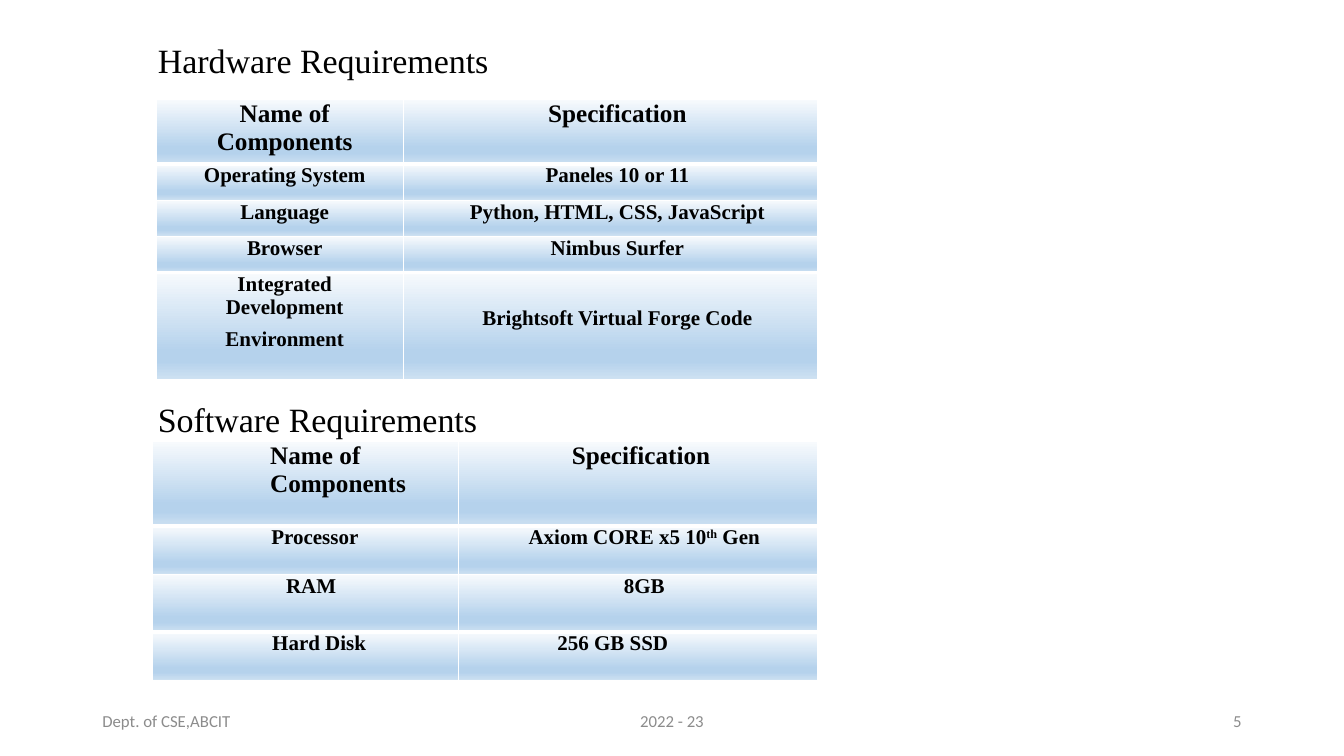
from lxml import etree
from pptx import Presentation
from pptx.dml.color import RGBColor
from pptx.enum.text import MSO_ANCHOR, PP_ALIGN
from pptx.oxml.ns import qn
from pptx.util import Cm, Pt

LEFT, CENTER, RIGHT = PP_ALIGN.LEFT, PP_ALIGN.CENTER, PP_ALIGN.RIGHT
MIDDLE = MSO_ANCHOR.MIDDLE

COLORS = {"text": "000000", "footer": "8C8C8C", "border": "FFFFFF"}
CELL_GRADIENT = {0: "F7FAFD", 74: "B5D2EC", 83: "B5D2EC", 100: "CEE1F2"}
SERIF, SANS = "Times New Roman", "Calibri"

# Each cell: text (^ encloses a superscript), alignment, left and right indent in cm.
NAME = (CENTER, 1.04, 0.79)
VALUE = (CENTER, 0.36, 0)
HARDWARE_ROWS = [
    [("Name of Components", *NAME), ("Specification", *VALUE)],
    [("Operating System", *NAME), ("Paneles 10 or 11", *VALUE)],
    [("Language", *NAME), ("Python, HTML, CSS, JavaScript", *VALUE)],
    [("Browser", *NAME), ("Nimbus Surfer", *VALUE)],
    [("Integrated Development\nEnvironment", *NAME), ("Brightsoft Virtual Forge Code", *VALUE)],
]
SOFTWARE_ROWS = [
    [("Name of Components", LEFT, 2.97, 0), ("Specification", CENTER, 1.55, 1.4)],
    [("Processor", LEFT, 3, 0), ("Axiom CORE x5 10^th^ Gen", CENTER, 1.68, 1.37)],
    [("RAM", CENTER, 3.35, 3.07), ("8GB", CENTER, 1.68, 1.37)],
    [("Hard Disk", LEFT, 3.02, 0), ("256 GB SSD", CENTER, 0, 1.27)],
]


def style_font(font, name, size, color, bold=False):
    font.name, font.size, font.bold = name, Pt(size), bold
    font.color.rgb = RGBColor.from_string(COLORS[color])


def add_text(slide, box, text, name, size, color, alignment=LEFT, inset=0):
    shape = slide.shapes.add_textbox(*(Cm(length) for length in box))
    frame = shape.text_frame
    frame.word_wrap = True
    frame.vertical_anchor = MIDDLE
    frame.margin_left = frame.margin_right = Cm(inset)
    frame.margin_top = frame.margin_bottom = 0
    frame.text = text
    paragraph = frame.paragraphs[0]
    paragraph.alignment = alignment
    style_font(paragraph.runs[0].font, name, size, color)


def add_solid_fill(parent, color):
    fill = etree.SubElement(parent, qn("a:solidFill"))
    etree.SubElement(fill, qn("a:srgbClr"), val=color)


def paint_cell(cell, top_width, bottom_width):
    """Give the cell white borders and the vertical blue gradient."""
    properties = cell._tc.get_or_add_tcPr()
    for side, width in (("L", 1), ("R", 1), ("T", top_width), ("B", bottom_width)):
        line = etree.SubElement(properties, qn(f"a:ln{side}"), w=str(Pt(width)))
        add_solid_fill(line, COLORS["border"])
    gradient = etree.SubElement(properties, qn("a:gradFill"), rotWithShape="1")
    stops = etree.SubElement(gradient, qn("a:gsLst"))
    for position, color in CELL_GRADIENT.items():
        stop = etree.SubElement(stops, qn("a:gs"), pos=str(position * 1000))
        etree.SubElement(stop, qn("a:srgbClr"), val=color)
    etree.SubElement(gradient, qn("a:lin"), ang="5400000", scaled="0")


def fill_cell(cell, text, alignment, left, right, size):
    cell.margin_left = cell.margin_right = cell.margin_top = cell.margin_bottom = 0
    frame = cell.text_frame
    for index, line in enumerate(text.split("\n")):
        paragraph = frame.add_paragraph() if index else frame.paragraphs[0]
        paragraph.alignment = alignment
        paragraph.space_before = Pt(6.4 if index else 3)
        properties = paragraph._p.get_or_add_pPr()
        properties.set("marL", str(Cm(left)))
        properties.set("marR", str(Cm(right)))
        for part, piece in enumerate(line.split("^")):
            run = paragraph.add_run()
            run.text = piece
            style_font(run.font, SERIF, size, "text", bold=True)
            if part % 2:
                run._r.get_or_add_rPr().set("baseline", "30000")


def add_requirements(slide, box, heading, heading_box, rows, widths, heights):
    """Place a heading and its table of requirements."""
    add_text(slide, heading_box, heading, SERIF, 24.3, "text")
    frame = slide.shapes.add_table(len(rows), len(widths), *(Cm(length) for length in box))
    table = frame.table
    table.horz_banding = table.first_row = False
    for column, width in zip(table.columns, widths):
        column.width = Cm(width)
    last = len(rows) - 1
    for index, (cells, height) in enumerate(zip(rows, heights)):
        table.rows[index].height = Cm(height)
        for column, content in enumerate(cells):
            cell = table.cell(index, column)
            fill_cell(cell, *content, size=15 if index else 18)
            paint_cell(cell, 3 if index in (1, last) else 1, 3 if index in (0, last - 1) else 1)
    return table


def add_footer(slide, left, top, width, height):
    side = 7.62
    parts = [
        ("Dept. of CSE,ABCIT", left, side, LEFT),
        ("2022 - 23", left + (width - 11.43) / 2, 11.43, CENTER),
        ("5", left + width - side, side, RIGHT),
    ]
    for text, part_left, part_width, alignment in parts:
        add_text(slide, (part_left, top, part_width, height), text, SANS, 12, "footer",
                 alignment, inset=0.25)


def main():
    presentation = Presentation()
    presentation.slide_width, presentation.slide_height = Cm(33.87), Cm(19.05)
    slide = presentation.slides.add_slide(presentation.slide_layouts[6])
    hardware = add_requirements(
        slide, (3.94, 2.51, 16.66, 7.06), "Hardware Requirements", (3.98, 1, 12, 1),
        HARDWARE_ROWS, (6.22, 10.44), (1.63, 0.91, 0.91, 0.91, 2.69))
    hardware.cell(4, 1).margin_top = Cm(0.87)
    add_requirements(
        slide, (3.84, 11.13, 16.76, 6.05), "Software Requirements", (3.98, 10.05, 12, 1),
        SOFTWARE_ROWS, (7.72, 9.04), (2.13, 1.22, 1.45, 1.22))
    add_footer(slide, 2.33, 17.65, 29.21, 1.01)
    presentation.save("out.pptx")


if __name__ == "__main__":
    main()
